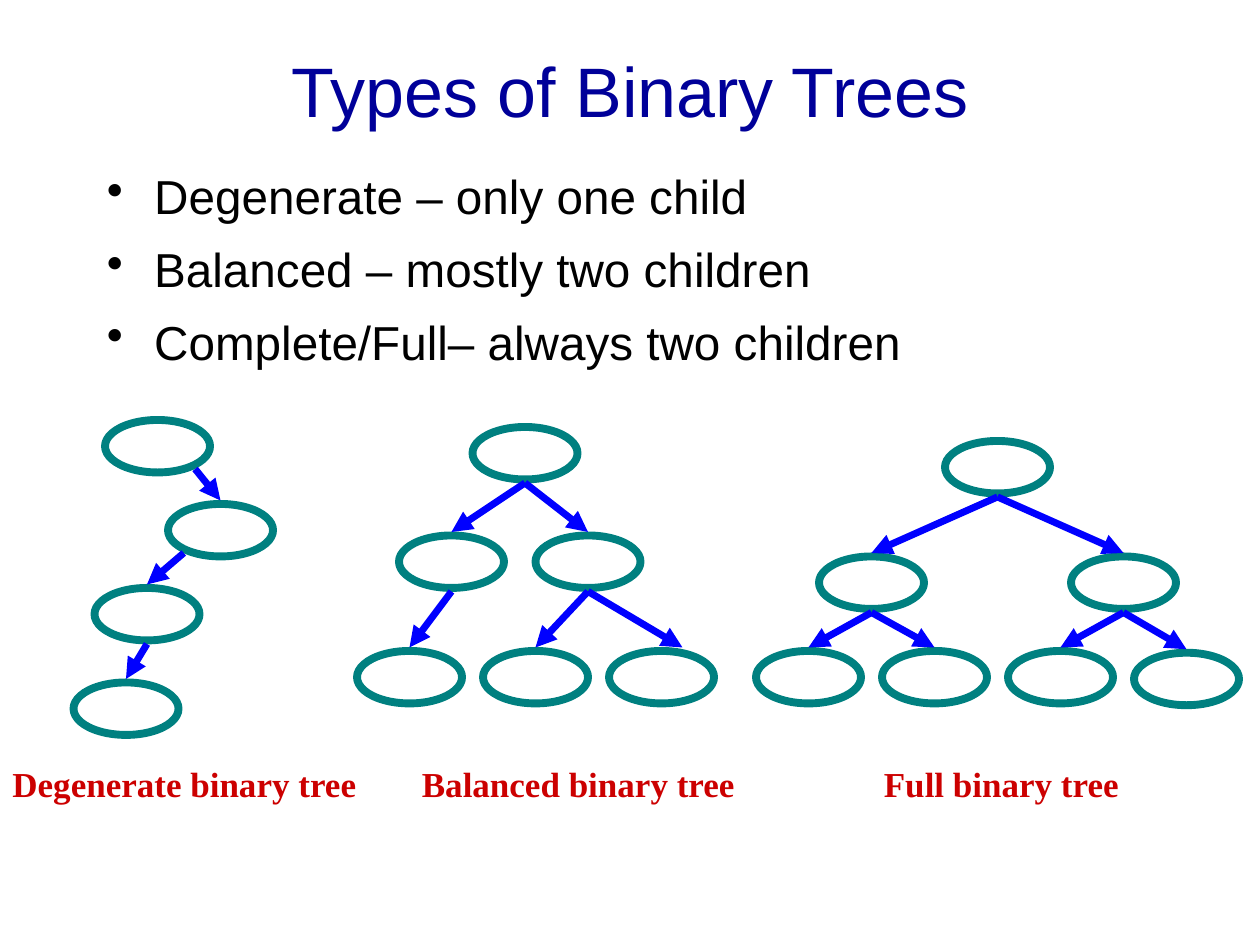
from lxml import etree
from pptx import Presentation
from pptx import util as u
from pptx.dml.color import RGBColor
from pptx.enum import shapes, text
from pptx.oxml.ns import qn

Pt = u.Pt
COLOURS = {"title": "000099", "body": "000000", "node": "008080",
           "arrow": "0000FF", "label": "CC0000"}
NODE_WIDTH, NODE_HEIGHT = 60, 30
# Where an arrow leaves its parent, from the node's top left corner
STARTS = {"bottom": (30, 32), "left": (9, 28), "right": (51.5, 28)}


def colour(name):
    return RGBColor.from_string(COLOURS[name])


def add_text_frame(slide, box, anchor=text.MSO_ANCHOR.TOP):
    frame = slide.shapes.add_textbox(*map(Pt, box)).text_frame
    frame.word_wrap = True
    frame.vertical_anchor = anchor
    return frame


def add_run(paragraph, words, size, font_name, colour_name, bold=False):
    run = paragraph.add_run()
    run.text = words
    run.font.size = Pt(size)
    run.font.name = font_name
    run.font.bold = bold
    run.font.color.rgb = colour(colour_name)


def add_title(slide, box, words):
    paragraph = add_text_frame(slide, box, text.MSO_ANCHOR.MIDDLE).paragraphs[0]
    paragraph.alignment = text.PP_ALIGN.CENTER
    add_run(paragraph, words, 40, "Arial", "title")


def add_bullets(slide, box, lines):
    frame = add_text_frame(slide, box)
    for index, line in enumerate(lines):
        paragraph = frame.add_paragraph() if index else frame.paragraphs[0]
        if index:
            paragraph.space_before = Pt(9)
        properties = paragraph._p.get_or_add_pPr()
        properties.set("marL", str(Pt(27)))
        properties.set("indent", str(-Pt(27)))
        etree.SubElement(properties, qn("a:buChar")).set("char", "•")
        add_run(paragraph, line, 27.2, "Arial", "body")


def add_node(slide, left, top):
    node = slide.shapes.add_shape(shapes.MSO_SHAPE.OVAL, Pt(left), Pt(top),
                                  Pt(NODE_WIDTH), Pt(NODE_HEIGHT))
    node.shadow.inherit = False
    node.fill.background()
    node.line.color.rgb = colour("node")
    node.line.width = Pt(4.5)


def add_arrow(slide, *ends):
    arrow = slide.shapes.add_connector(shapes.MSO_CONNECTOR.STRAIGHT, *map(Pt, ends))
    arrow.line.color.rgb = colour("arrow")
    arrow.line.width = Pt(4)
    etree.SubElement(arrow.line._get_or_add_ln(), qn("a:tailEnd")).set("type", "triangle")
    etree.SubElement(arrow._element.spPr, qn("a:effectLst"))


def add_tree(slide, origin, nodes, edges):
    """Nodes are offsets from origin; edges are parent, child, start side, end shift."""
    places = [(origin[0] + x, origin[1] + y) for x, y in nodes]
    for place in places:
        add_node(slide, *place)
    for parent, child, side, shift in edges:
        (left, top), (child_left, child_top) = places[parent], places[child]
        start_x, start_y = STARTS[side]
        add_arrow(slide, left + start_x, top + start_y,
                  child_left + NODE_WIDTH / 2 + shift, child_top - 2)


def add_label(slide, box, words):
    paragraph = add_text_frame(slide, box).paragraphs[0]
    add_run(paragraph, words, 20, "Times New Roman", "label", bold=True)


def main():
    presentation = Presentation()
    presentation.slide_width, presentation.slide_height = Pt(720), Pt(540)
    slide = presentation.slides.add_slide(presentation.slide_layouts[6])

    # Heading and definitions
    add_title(slide, (54, 6, 612, 90), "Types of Binary Trees")
    add_bullets(slide, (54, 92, 612, 120), [
        "Degenerate – only one child",
        "Balanced – mostly two children",
        "Complete/Full– always two children"])

    # Degenerate tree
    add_tree(slide, (42, 240), [(18, 0), (54, 48), (12, 96), (0, 150)],
             [(0, 1, "right", 0), (1, 2, "left", 0), (2, 3, "bottom", 0)])

    # Balanced tree; the last arrow lands right of its node's centre
    add_tree(slide, (204, 244),
             [(66, 0), (24, 62), (102, 62), (0, 128), (72, 128), (144, 128)],
             [(0, 1, "bottom", 0), (0, 2, "bottom", 0), (1, 3, "bottom", 0),
              (2, 4, "bottom", 0), (2, 5, "bottom", 12)])

    # Full tree: node n has children 2n + 1 and 2n + 2
    add_tree(slide, (432, 252),
             [(108, 0), (36, 66), (180, 66), (0, 120), (72, 120), (144, 120), (216, 121)],
             [((child - 1) // 2, child, "bottom", 0) for child in range(1, 7)])

    # Tree names
    for left, width, words in [(0, 228, "Degenerate binary tree"),
                               (234, 216, "Balanced binary tree"),
                               (498, 204, "Full binary tree")]:
        add_label(slide, (left, 432, width, 32), words)

    presentation.save("out.pptx")


if __name__ == "__main__":
    main()
